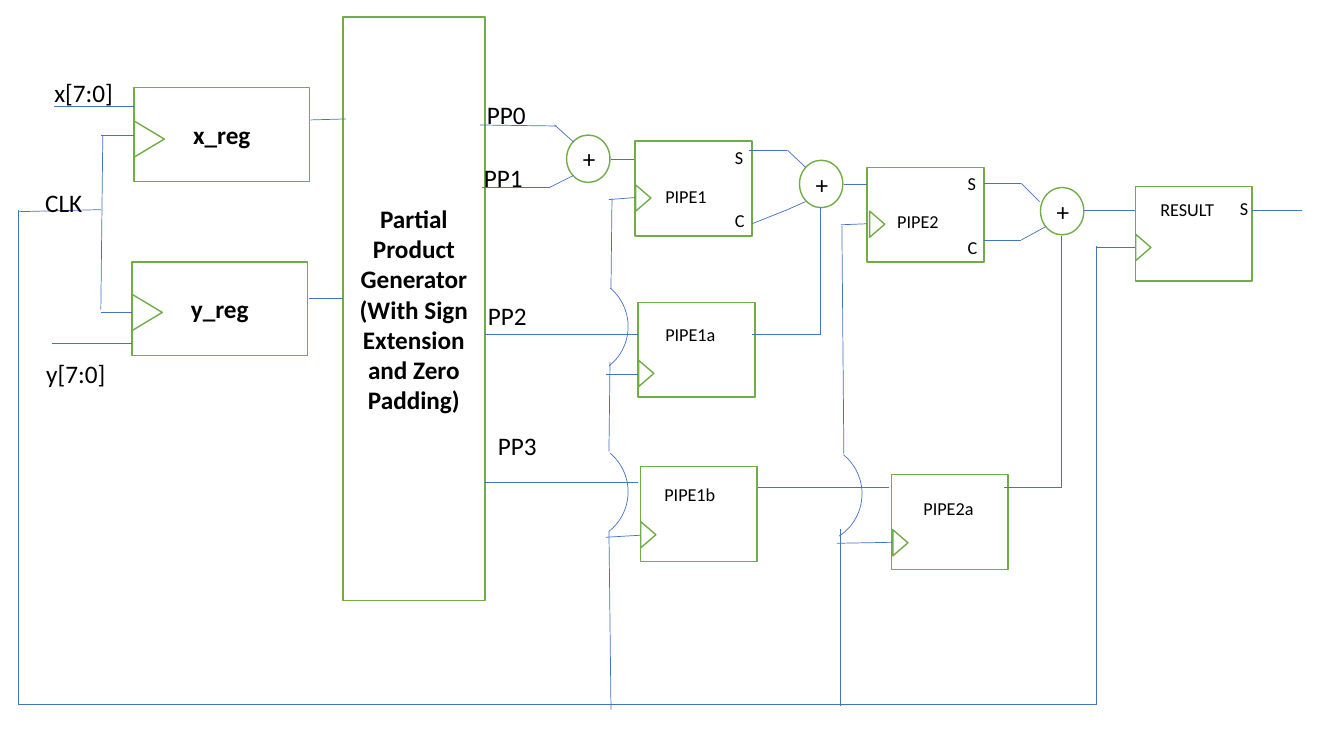
from typing import NamedTuple

from lxml import etree
from pptx import Presentation
from pptx import util as u
from pptx.dml.color import RGBColor
from pptx.enum import shapes, text
from pptx.oxml.ns import qn

GREEN, BLUE, WHITE, BLACK = "70AD47", "4472C4", "FFFFFF", "000000"
FONT = "Calibri"
LARGE, SMALL = 18, 13
REGISTER = (1.74, 0.93)
STAGE = (1.16, 0.94)
ADDER = (0.43, 0.47)
LARGE_CLOCK = (0.36, 0.3)
SMALL_CLOCK = (0.26, 0.15)


class Block(NamedTuple):
    left: float
    top: float
    size: tuple[float, float]
    caption: str = ""


class Clock(NamedTuple):
    """Clock input; left and top are those of the triangle before rotation."""
    left: float
    top: float
    size: tuple[float, float] = SMALL_CLOCK


class Hop(NamedTuple):
    """Arc that carries a clock wire over a data wire."""
    left: float
    top: float
    end_angle: float


class Label(NamedTuple):
    caption: str
    left: float
    top: float
    width: float
    points: int = LARGE


BLOCKS = [
    Block(1.33, 0.87, REGISTER, "x_reg"),
    Block(1.31, 2.6, REGISTER, "y_reg"),
    Block(3.4, 0.17, (1.41, 5.79),
          "Partial Product Generator (With Sign Extension and Zero Padding)"),
    Block(6.3, 1.4, STAGE),
    Block(8.6, 1.66, STAGE),
    Block(11.26, 1.85, STAGE),
    Block(6.33, 3, STAGE),
    Block(6.35, 4.63, STAGE),
    Block(8.84, 4.71, STAGE),
]

CLOCKS = [
    Clock(1.3, 1.23, LARGE_CLOCK), Clock(1.28, 2.95, LARGE_CLOCK),
    Clock(6.25, 1.89), Clock(8.57, 2.15), Clock(11.21, 2.38),
    Clock(6.28, 3.63), Clock(6.3, 5.23), Clock(8.8, 5.31),
]

ADDERS = [Block(left, top, ADDER, "+")
          for left, top in [(5.62, 1.34), (7.93, 1.59), (10.32, 1.86)]]

HOPS = [Hop(5.23, 2.74, 6.83), Hop(5.23, 4.38, 6.73), Hop(7.55, 4.4, 10.01)]

# Each wire is a chain of points joined by straight segments.
WIRES = [
    # Inputs and their clock
    [(0.54, 1.06), (1.33, 1.06)],
    [(0.52, 3.41), (1.31, 3.41)],
    [(1.33, 1.34), (1, 1.34)],
    [(1.02, 1.34), (1, 3.07)],
    [(1, 3.1), (1.31, 3.1)],
    [(3.08, 1.19), (3.43, 1.18)],
    [(3.06, 2.96), (3.4, 2.96)],
    # Partial products
    [(4.76, 1.24), (5.52, 1.25)],
    [(5.5, 1.24), (5.69, 1.41)],
    [(4.78, 1.86), (5.45, 1.86), (5.69, 1.74)],
    [(4.81, 3.32), (6.33, 3.32)],
    [(4.81, 4.79), (6.33, 4.79)],
    # Adders and pipeline stages
    [(6.06, 1.58), (6.29, 1.58)],
    [(7.43, 1.49), (7.81, 1.49), (7.99, 1.66)],
    [(7.46, 2.22), (7.81, 2.08), (7.99, 2)],
    [(7.46, 3.32), (8.14, 3.32), (8.14, 2.05)],
    [(8.37, 1.83), (8.6, 1.83)],
    [(9.76, 1.82), (10.13, 1.82), (10.31, 2)],
    [(9.76, 2.38), (10.13, 2.38), (10.37, 2.25)],
    [(7.52, 4.84), (8.82, 4.84)],
    [(9.96, 4.84), (10.53, 4.84), (10.53, 2.34)],
    [(10.75, 2.09), (11.26, 2.09)],
    [(12.42, 2.09), (12.91, 2.09)],
    # Clock distribution
    [(1, 2.08), (0.18, 2.1)],
    [(0.18, 2.08), (0.18, 6.99), (10.87, 6.99), (10.87, 2.44)],
    [(10.87, 2.45), (11.26, 2.45)],
    [(6.04, 1.98), (6.3, 1.96)],
    [(6.07, 1.97), (6.06, 2.86)],
    [(6.05, 3.59), (6.04, 4.48)],
    [(6.04, 5.27), (6.06, 7.04)],
    [(6.01, 3.71), (6.33, 3.71)],
    [(6.01, 5.33), (6.35, 5.31)],
    [(8.34, 2.23), (8.6, 2.22)],
    [(8.35, 2.24), (8.37, 4.52)],
    [(8.33, 5.25), (8.33, 7)],
    [(8.3, 5.39), (8.85, 5.38)],
]

LABELS = [
    Label("x[7:0]", 0.44, 0.72, 1.11),
    Label("y[7:0]", 0.36, 3.51, 1.11),
    Label("CLK", 0.35, 1.81, 0.97),
    Label("PP0", 4.73, 0.94, 2.03),
    Label("PP1", 4.7, 1.56, 1.77),
    Label("PP2", 4.74, 2.93, 1.77),
    Label("PP3", 4.84, 4.22, 1.77),
    Label("PIPE1", 6.5, 1.79, 0.88, SMALL),
    Label("PIPE1a", 6.5, 3.16, 0.88, SMALL),
    Label("PIPE1b", 6.49, 4.75, 0.88, SMALL),
    Label("PIPE2", 8.8, 2.04, 0.88, SMALL),
    Label("PIPE2a", 9.06, 4.88, 0.88, SMALL),
    Label("RESULT", 11.41, 1.92, 0.88, SMALL),
    Label("S", 7.19, 1.4, 0.27, SMALL),
    Label("C", 7.19, 2.03, 0.27, SMALL),
    Label("S", 9.5, 1.66, 0.27, SMALL),
    Label("C", 9.5, 2.29, 0.27, SMALL),
    Label("S", 12.2, 1.91, 0.27, SMALL),
]


def color(value: str) -> RGBColor:
    return RGBColor.from_string(value)


def write(shape, caption: str, points: int, bold: bool = False) -> None:
    paragraph = shape.text_frame.paragraphs[0]
    paragraph.text = caption
    font = paragraph.font
    font.name, font.size, font.bold = FONT, u.Pt(points), bold
    font.color.rgb = color(BLACK)


def add_outlined(slide, kind, left: float, top: float, size: tuple[float, float]):
    """Add a white shape with a green outline."""
    shape = slide.shapes.add_shape(kind, *map(u.Inches, (left, top, *size)))
    shape.shadow.inherit = False
    shape.fill.solid()
    shape.fill.fore_color.rgb = color(WHITE)
    shape.line.color.rgb = color(GREEN)
    shape.line.width = u.Pt(1)
    return shape


def add_block(slide, block: Block, kind, bold: bool) -> None:
    shape = add_outlined(slide, kind, block.left, block.top, block.size)
    if block.caption:
        write(shape, block.caption, LARGE, bold)
        shape.text_frame.vertical_anchor = text.MSO_ANCHOR.MIDDLE
        shape.text_frame.paragraphs[0].alignment = text.PP_ALIGN.CENTER


def add_clock(slide, clock: Clock) -> None:
    triangle = shapes.MSO_SHAPE.ISOSCELES_TRIANGLE
    add_outlined(slide, triangle, *clock).rotation = 90


def add_hop(slide, hop: Hop) -> None:
    shape = add_outlined(slide, shapes.MSO_SHAPE.ARC, hop.left, hop.top, (1, 1))
    shape.fill.background()
    shape.line.color.rgb = color(BLUE)
    shape.line.width = u.Pt(0.5)
    shape.rotation = 40.2
    shape.adjustments[0] = 162
    shape.adjustments[1] = hop.end_angle


def add_wire(slide, points: list[tuple[float, float]]) -> None:
    for start, end in zip(points, points[1:]):
        line = slide.shapes.add_connector(
            shapes.MSO_CONNECTOR.STRAIGHT, *map(u.Inches, (*start, *end)))
        line.line.color.rgb = color(BLUE)
        line.line.width = u.Pt(0.5)
        etree.SubElement(line._element.spPr, qn("a:effectLst"))


def add_label(slide, label: Label) -> None:
    height = 0.4 if label.points == LARGE else 0.32
    box = slide.shapes.add_textbox(
        *map(u.Inches, (label.left, label.top, label.width, height)))
    box.text_frame.word_wrap = True
    box.text_frame.auto_size = text.MSO_AUTO_SIZE.SHAPE_TO_FIT_TEXT
    write(box, label.caption, label.points)


def main() -> None:
    presentation = Presentation()
    presentation.slide_width = u.Inches(13.33)
    presentation.slide_height = u.Inches(7.5)
    slide = presentation.slides.add_slide(presentation.slide_layouts[6])
    for block in BLOCKS:
        add_block(slide, block, shapes.MSO_SHAPE.RECTANGLE, bold=True)
    for adder in ADDERS:
        add_block(slide, adder, shapes.MSO_SHAPE.OVAL, bold=False)
    for add, items in [(add_clock, CLOCKS), (add_wire, WIRES),
                       (add_hop, HOPS), (add_label, LABELS)]:
        for item in items:
            add(slide, item)
    presentation.save("out.pptx")


if __name__ == "__main__":
    main()
